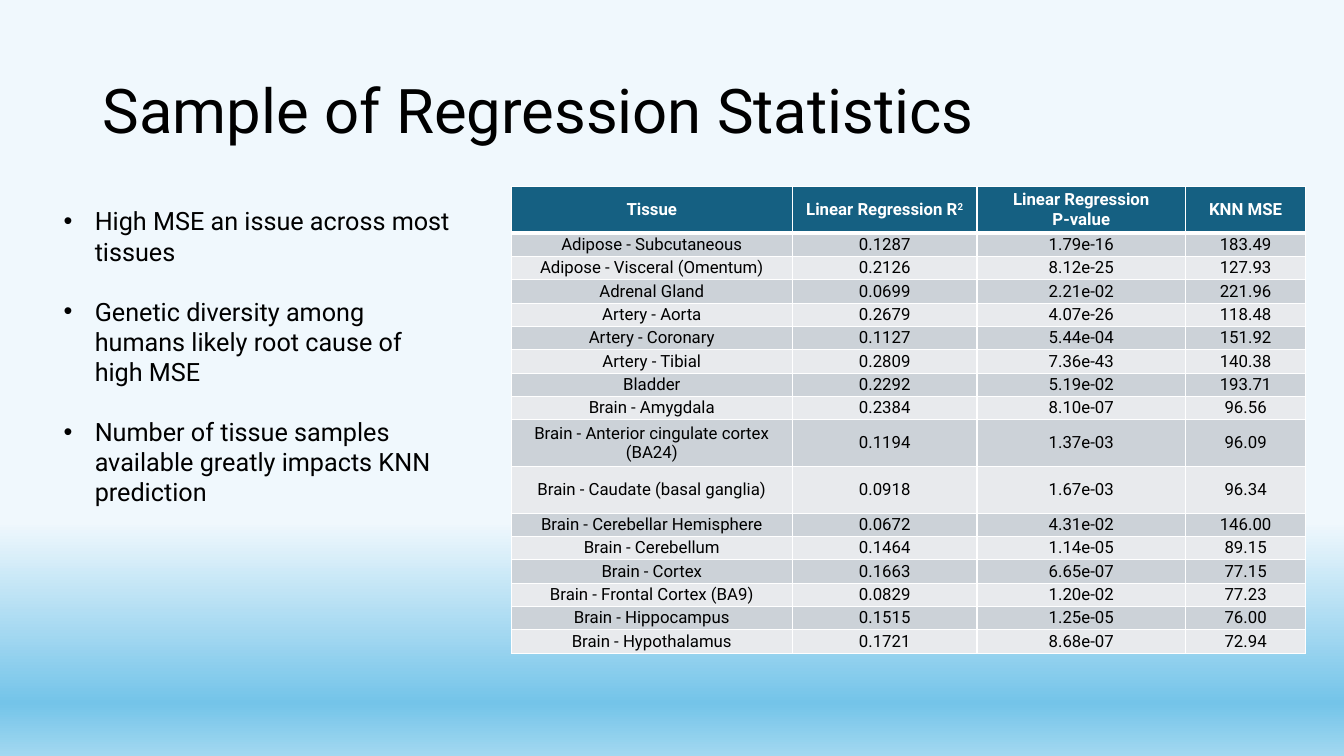
from copy import deepcopy
from dataclasses import dataclass

from lxml.etree import SubElement as Sub
from pptx import Presentation
from pptx.dml.color import RGBColor as Rgb
from pptx.enum.text import MSO_ANCHOR as Anchor, MSO_AUTO_SIZE as Auto, PP_ALIGN as Align
from pptx.oxml.ns import qn
from pptx.util import Inches, Pt

TITLE = "Sample of Regression Statistics"
POINTS = [
    "High MSE an issue across most tissues",
    "Genetic diversity among humans likely root cause of high MSE",
    "Number of tissue samples available greatly impacts KNN prediction",
]
HEAD = [
    [["Tissue"]],
    [["Linear Regression R", "2"]],
    [["Linear Regression"], ["P-value"]],
    [["KNN MSE"]],
]
DATA = [
    ("Adipose - Subcutaneous", "0.1287", "1.79e-16", "183.49"),
    ("Adipose - Visceral (Omentum)", "0.2126", "8.12e-25", "127.93"),
    ("Adrenal Gland", "0.0699", "2.21e-02", "221.96"),
    ("Artery - Aorta", "0.2679", "4.07e-26", "118.48"),
    ("Artery - Coronary", "0.1127", "5.44e-04", "151.92"),
    ("Artery - Tibial", "0.2809", "7.36e-43", "140.38"),
    ("Bladder", "0.2292", "5.19e-02", "193.71"),
    ("Brain - Amygdala", "0.2384", "8.10e-07", "96.56"),
    ("Brain - Anterior cingulate cortex (BA24)", "0.1194", "1.37e-03", "96.09"),
    ("Brain - Caudate (basal ganglia)", "0.0918", "1.67e-03", "96.34"),
    ("Brain - Cerebellar Hemisphere", "0.0672", "4.31e-02", "146.00"),
    ("Brain - Cerebellum", "0.1464", "1.14e-05", "89.15"),
    ("Brain - Cortex", "0.1663", "6.65e-07", "77.15"),
    ("Brain - Frontal Cortex (BA9)", "0.0829", "1.20e-02", "77.23"),
    ("Brain - Hippocampus", "0.1515", "1.25e-05", "76.00"),
    ("Brain - Hypothalamus", "0.1721", "8.68e-07", "72.94"),
]
COLS = (2.79, 1.83, 2.07, 1.19)
TALL = {0, 9, 10}


@dataclass(frozen=True)
class Theme:
    font: str = "Roboto"
    title: int = 44
    body: int = 18
    cell: int = 12
    ink: str = "000000"
    light: str = "FFFFFF"
    head: str = "156082"
    bands: tuple = ("E8EAED", "CCD2D8")
    sky: tuple = ((0.69, "F0F8FD"), (0.93, "74C4E9"), (1, "A2D8F0"))


LOOK = Theme()


def write(para, text, size, color=LOOK.ink, bold=False):
    run = para.add_run()
    run.text = text
    font = run.font
    font.name, font.size, font.bold = LOOK.font, Pt(size), bold
    font.color.rgb = Rgb.from_string(color)
    return run


def place(shape, left, top, width, height):
    shape.left, shape.top = Inches(left), Inches(top)
    shape.width, shape.height = Inches(width), Inches(height)


def edge(cell, side, width):
    line = Sub(cell._tc.get_or_add_tcPr(), qn("a:ln" + side), w=str(Pt(width)))
    fill = Sub(line, qn("a:solidFill"))
    Sub(fill, qn("a:srgbClr"), val=LOOK.light)


def paint(slide):
    fill = slide.background.fill
    fill.gradient()
    fill.gradient_angle = 270
    stops = slide.element.find(".//" + qn("a:gsLst"))
    stops.append(deepcopy(stops[0]))
    for stop, (spot, color) in zip(fill.gradient_stops, LOOK.sky):
        stop.position = spot
        stop.color.rgb = Rgb.from_string(color)


def add_title(slide):
    shape = slide.shapes.title
    place(shape, 0.92, 0.4, 11.5, 1.45)
    frame = shape.text_frame
    frame.auto_size, frame.vertical_anchor = Auto.NONE, Anchor.MIDDLE
    para = frame.paragraphs[0]
    para.alignment, para.line_spacing = Align.LEFT, 0.9
    write(para, TITLE, LOOK.title)


def add_list(slide):
    shape = slide.placeholders[1]
    place(shape, 0.53, 1.99, 4.09, 2.83)
    frame = shape.text_frame
    frame.word_wrap, frame.auto_size = True, Auto.SHAPE_TO_FIT_TEXT
    frame.vertical_anchor = Anchor.TOP
    dent = Inches(0.31)
    for i, text in enumerate(POINTS):
        para = frame.add_paragraph() if i else frame.paragraphs[0]
        para.space_before = Pt(LOOK.body * 1.18 if i else 0)
        props = para._p.get_or_add_pPr()
        props.set("marL", str(dent))
        props.set("indent", str(-dent))
        Sub(props, qn("a:buFont"), typeface="Arial")
        Sub(props, qn("a:buChar"), char="•")
        write(para, text, LOOK.body)


def fill_cell(cell, row, paras):
    top = row == 0
    for side in "LRTB":
        thick = (row, side) in {(0, "B"), (1, "T")}
        edge(cell, side, 3 if thick else 1)
    cell.fill.solid()
    cell.fill.fore_color.rgb = Rgb.from_string(LOOK.head if top else LOOK.bands[row % 2])
    cell.margin_left = cell.margin_right = cell.margin_top = cell.margin_bottom = 0
    cell.vertical_anchor = Anchor.MIDDLE
    frame = cell.text_frame
    for i, runs in enumerate(paras):
        para = frame.add_paragraph() if i else frame.paragraphs[0]
        para.alignment = Align.CENTER
        for j, text in enumerate(runs):
            run = write(para, text, LOOK.cell, LOOK.light if top else LOOK.ink, top)
            if j:
                run._r.get_or_add_rPr().set("baseline", "30000")


def add_stats(slide):
    rows = [HEAD] + [[[[text]] for text in row] for row in DATA]
    high = 4.63
    unit = high / (len(rows) + len(TALL))
    box = [Inches(n) for n in (5.07, 1.85, sum(COLS), high)]
    table = slide.shapes.add_table(len(rows), len(COLS), *box).table
    table.horz_banding = False
    for col, width in zip(table.columns, COLS):
        col.width = Inches(width)
    for r, row in enumerate(rows):
        table.rows[r].height = Inches(unit * (2 if r in TALL else 1))
        for c, paras in enumerate(row):
            fill_cell(table.cell(r, c), r, paras)


def main():
    deck = Presentation()
    deck.slide_width, deck.slide_height = Inches(13.33), Inches(7.5)
    slide = deck.slides.add_slide(deck.slide_layouts[1])
    paint(slide)
    add_title(slide)
    add_stats(slide)
    add_list(slide)
    deck.save("out.pptx")


if __name__ == "__main__":
    main()
